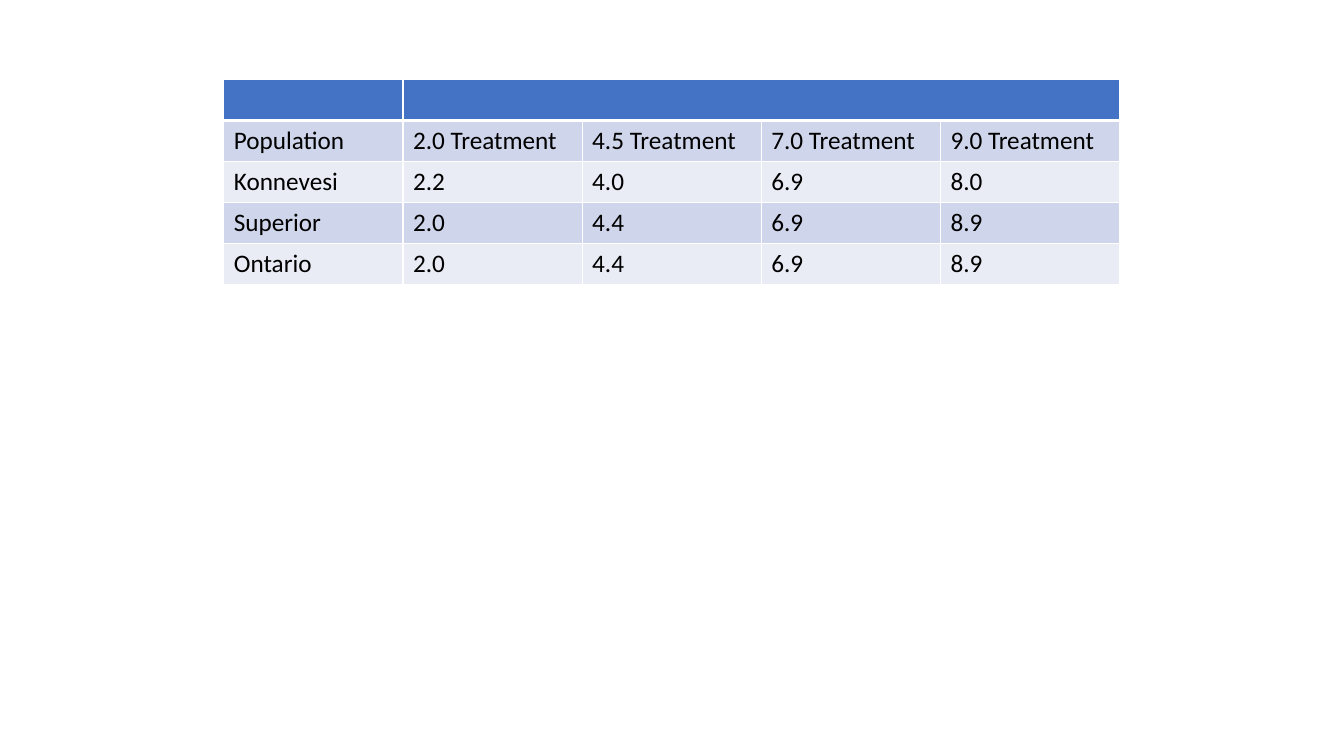
from lxml.etree import SubElement
from pptx import Presentation
from pptx.dml.color import RGBColor
from pptx.oxml.ns import qn
from pptx.util import Cm, Pt

WHITE = RGBColor(0xFF, 0xFF, 0xFF)
BLACK = RGBColor(0x00, 0x00, 0x00)
BLUE = RGBColor(0x44, 0x72, 0xC4)
DARK = RGBColor(0xCF, 0xD5, 0xEA)
LIGHT = RGBColor(0xE9, 0xEB, 0xF5)

ROWS = [
    ("Population", "2.0 Treatment", "4.5 Treatment", "7.0 Treatment", "9.0 Treatment"),
    ("Konnevesi", "2.2", "4.0", "6.9", "8.0"),
    ("Superior", "2.0", "4.4", "6.9", "8.9"),
    ("Ontario", "2.0", "4.4", "6.9", "8.9"),
]


def border(cell, row):
    """Draw white cell edges, with a thick rule between rows 0 and 1."""
    props = cell._tc.get_or_add_tcPr()
    thick = {0: "lnB", 1: "lnT"}.get(row)
    for side in ("lnL", "lnR", "lnT", "lnB"):
        width = Pt(3) if side == thick else Pt(1)
        line = SubElement(props, qn("a:" + side), w=str(width))
        fill = SubElement(line, qn("a:solidFill"))
        SubElement(fill, qn("a:srgbClr"), val=str(WHITE))


def paint(cell, color):
    cell.fill.solid()
    cell.fill.fore_color.rgb = color


def write(cell, text):
    run = cell.text_frame.paragraphs[0].add_run()
    run.text = text
    run.font.name = "Calibri"
    run.font.size = Pt(18)
    run.font.color.rgb = BLACK


def grid(slide, left, top, width, height):
    count = len(ROWS[0])
    table = slide.shapes.add_table(
        len(ROWS) + 1, count, left, top, width, height).table
    for col in range(count):
        head = table.cell(0, col)
        border(head, 0)
        paint(head, BLUE)
    table.cell(0, 1).merge(table.cell(0, count - 1))
    for row, texts in enumerate(ROWS, 1):
        for col, text in enumerate(texts):
            cell = table.cell(row, col)
            border(cell, row)
            paint(cell, DARK if row % 2 else LIGHT)
            write(cell, text)


def main():
    deck = Presentation()
    deck.slide_width, deck.slide_height = Cm(33.87), Cm(19.05)
    slide = deck.slides.add_slide(deck.slide_layouts[6])
    grid(slide, Cm(5.64), Cm(2.01), Cm(22.58), Cm(5.15))
    deck.save("out.pptx")


if __name__ == "__main__":
    main()
